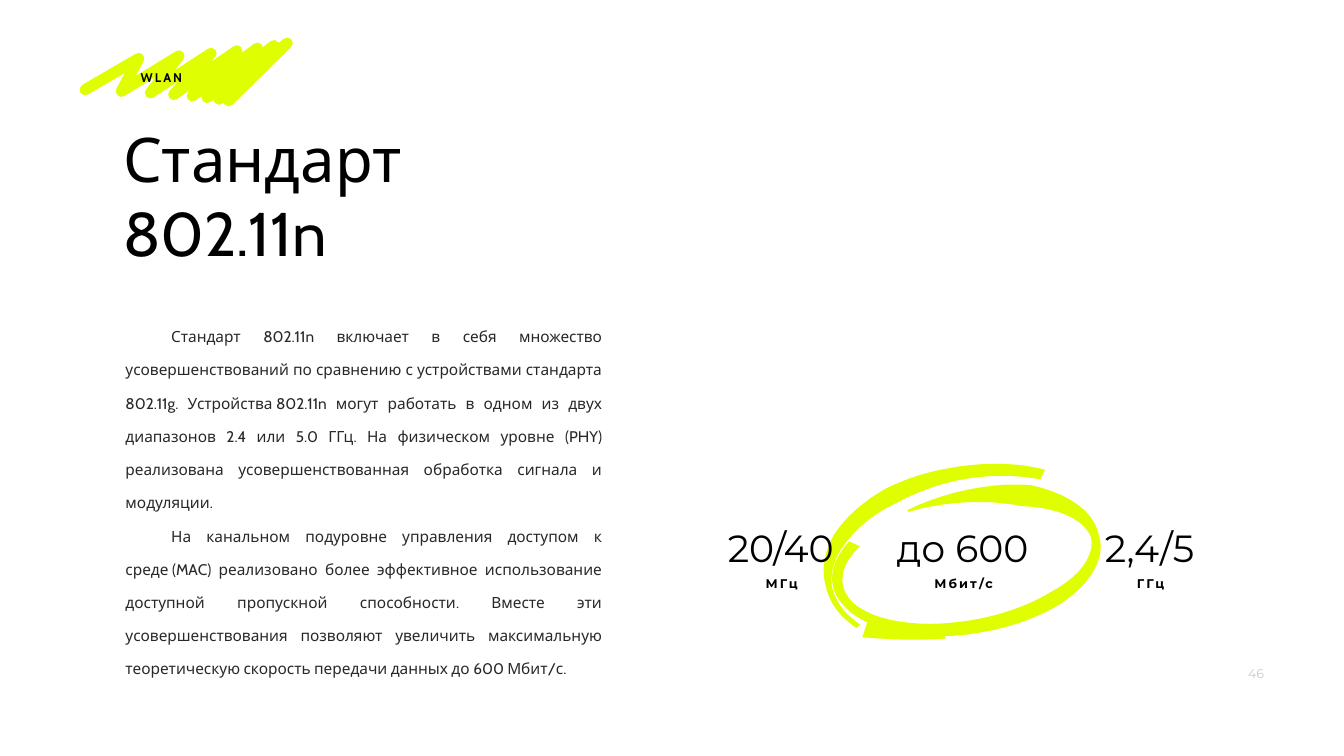
from dataclasses import dataclass
from math import cos, radians, sin

from lxml import etree
from pptx import Presentation
from pptx import util as u
from pptx.dml.color import RGBColor
from pptx.enum import text
from pptx.oxml.ns import qn

COLORS = {"marker": "DFFE00", "ink": "000000", "body": "292829", "page": "C3CBD0"}
THIN_INSET = 0.1
UNITS_PER_CM = 100
NBSP = chr(160)


@dataclass
class BrushArc:
    """Part of a tilted ellipse; widths (cm) are spread evenly from start to end."""
    center: tuple
    radii: tuple
    tilt: float
    start: float
    end: float
    widths: tuple


RING = [
    BrushArc((49.02, 28.19), (7.37, 4.39), 10, -55, -212, (0.55, 0.65, 0.9, 0.75, 0.3, 0.25)),
    BrushArc((48.72, 28.32), (6.6, 3.28), 10, -112, 215, (0.1, 1.15, 0.4, 0.8, 0.65, 0.45, 0.6)),
    BrushArc((46.74, 28.32), (10.16, 3.56), 0, 108, 85, (0.85, 0.65)),
]
STATS = [("20/40", "МГц", 34.65), ("до 600", "Мбит/с", 43.82), ("2,4/5", "ГГц", 53.24)]
BODY = [
    "Стандарт 802.11n включает в себя множество усовершенствований по сравнению "
    f"с устройствами стандарта 802.11g. Устройства{NBSP}802.11n могут работать в одном из двух "
    "диапазонов 2.4 или 5.0 ГГц. На физическом уровне (PHY) реализована "
    "усовершенствованная обработка сигнала и модуляции.",
    f"На канальном подуровне управления доступом к среде{NBSP}(MAC) реализовано более "
    "эффективное использование доступной пропускной способности. Вместе эти "
    "усовершенствования позволяют увеличить максимальную теоретическую скорость "
    "передачи данных до 600 Мбит/с.",
]


def color(name):
    return RGBColor.from_string(COLORS[name])


def place(box, left, top, width, height):
    box.left, box.top = u.Cm(left), u.Cm(top)
    box.width, box.height = u.Cm(width), u.Cm(height)


def set_frame(frame, anchor=text.MSO_ANCHOR.TOP, inset=None):
    frame.word_wrap = True
    frame.auto_size = text.MSO_AUTO_SIZE.NONE
    frame.vertical_anchor = anchor
    if inset is not None:
        frame.margin_left = frame.margin_right = u.Cm(inset)
        frame.margin_top = frame.margin_bottom = u.Cm(inset)


def style(para, font, size, tone, bold=False, tracking=0):
    """Format every run; tracking is letter spacing in points."""
    for span in para.runs:
        span.font.name = font
        span.font.size = u.Pt(size)
        span.font.bold = bold
        span.font.color.rgb = color(tone)
        if tracking:
            span.font._element.set("spc", str(tracking * 100))


def add_outline(page, points, close):
    """Draw a freeform through points given in cm."""
    start, *others = [(x * UNITS_PER_CM, y * UNITS_PER_CM) for x, y in points]
    builder = page.shapes.build_freeform(*start, scale=u.Cm(1) / UNITS_PER_CM)
    builder.add_line_segments(others, close=close)
    outline = builder.convert_to_shape()
    outline.shadow.inherit = False
    return outline


def arc_point(arc, angle, offset):
    """Point at an angle on the ellipse, moved outwards by offset."""
    along = (arc.radii[0] + offset) * cos(radians(angle))
    across = (arc.radii[1] + offset) * sin(radians(angle))
    tilt = radians(arc.tilt)
    return (arc.center[0] + along * cos(tilt) + across * sin(tilt),
            arc.center[1] - along * sin(tilt) + across * cos(tilt))


def add_brush_arc(page, arc, steps=60):
    outer, inner = [], []
    for step in range(steps + 1):
        share = step / steps
        angle = arc.start + share * (arc.end - arc.start)
        position = share * (len(arc.widths) - 1)
        index = min(int(position), len(arc.widths) - 2)
        before, after = arc.widths[index:index + 2]
        half_width = (before + (position - index) * (after - before)) / 2
        outer.append(arc_point(arc, angle, half_width))
        inner.append(arc_point(arc, angle, -half_width))
    brush = add_outline(page, outer + inner[::-1], close=True)
    brush.fill.solid()
    brush.fill.fore_color.rgb = color("marker")
    brush.line.fill.background()


def add_scribble(page, low=(4.29, 4.52), high=(6.99, 2.95), peaks=7):
    """Zigzag with a thick pen, whose turns come closer and closer."""
    low_step, high_step, shrink = 1.83, 2.03, 0.8
    points = []
    for _ in range(peaks):
        points += [low, high]
        low = (low[0] + low_step, low[1] + 0.08)
        high = (high[0] + high_step, high[1] - 0.13)
        low_step *= shrink
        high_step *= shrink
    scribble = add_outline(page, points + [low], close=False)
    scribble.fill.background()
    scribble.line.color.rgb = color("marker")
    scribble.line.width = u.Cm(0.56)
    pen = scribble.line._get_or_add_ln()
    pen.set("cap", "rnd")
    etree.SubElement(pen, qn("a:round"))


def add_label(page, words, area, font, size, tone="ink", align=text.PP_ALIGN.LEFT,
              spacing=None, inset=THIN_INSET, anchor=text.MSO_ANCHOR.TOP, **look):
    box = page.shapes.add_textbox(*map(u.Cm, area))
    set_frame(box.text_frame, anchor, inset)
    para = box.text_frame.paragraphs[0]
    para.text = words
    para.alignment = align
    para.line_spacing = spacing
    style(para, font, size, tone, **look)


def add_caption(page, words, area, font, align=text.PP_ALIGN.LEFT):
    add_label(page, words, area, font, 18, align=align, anchor=text.MSO_ANCHOR.MIDDLE,
              bold=True, tracking=3)


def add_stat(page, value, unit, left):
    center = text.PP_ALIGN.CENTER
    add_caption(page, unit, (left + 0.1, 28.93, 9.3, 0.99), "Montserrat", center)
    add_label(page, value, (left, 25.91, 9.4, 2.79), "Montserrat", 54,
              align=center, spacing=1.2)


def fill_title(title, words):
    place(title, 6.1, 5.99, 21.11, 8.74)
    title.text_frame.text = words
    set_frame(title.text_frame, inset=THIN_INSET)
    para = title.text_frame.paragraphs[0]
    para.alignment = text.PP_ALIGN.LEFT
    style(para, "Cabin", 88, "ink")


def fill_body(body, paragraphs):
    place(body, 6.07, 15.62, 24.54, 18.64)
    body.text_frame.text = "\n".join(paragraphs)
    set_frame(body.text_frame)
    for para in body.text_frame.paragraphs:
        para.alignment = text.PP_ALIGN.JUSTIFY
        para.line_spacing = 1.8
        para.space_before = u.Pt(0)
        properties = para._p.get_or_add_pPr()
        properties.set("marL", "0")
        properties.set("indent", str(u.Cm(2.3)))
        etree.SubElement(properties, qn("a:buNone"))
        style(para, "Cabin", 22, "body")


def main():
    deck = Presentation()
    deck.slide_width, deck.slide_height = u.Cm(67.74), u.Cm(38.1)
    page = deck.slides.add_slide(deck.slide_layouts[1])

    for arc in RING:
        add_brush_arc(page, arc)
    fill_title(page.shapes.title, "Стандарт 802.11n")
    fill_body(page.placeholders[1], BODY)
    for value, unit, left in STATS:
        add_stat(page, value, unit, left)
    add_scribble(page)
    add_caption(page, "WLAN", (6.99, 3.4, 15.54, 0.99), "Cabin")
    add_label(page, "46", (62.66, 33.43, 2.49, 1.35), "Montserrat", 18, "page", inset=None)

    deck.save("out.pptx")


if __name__ == "__main__":
    main()
